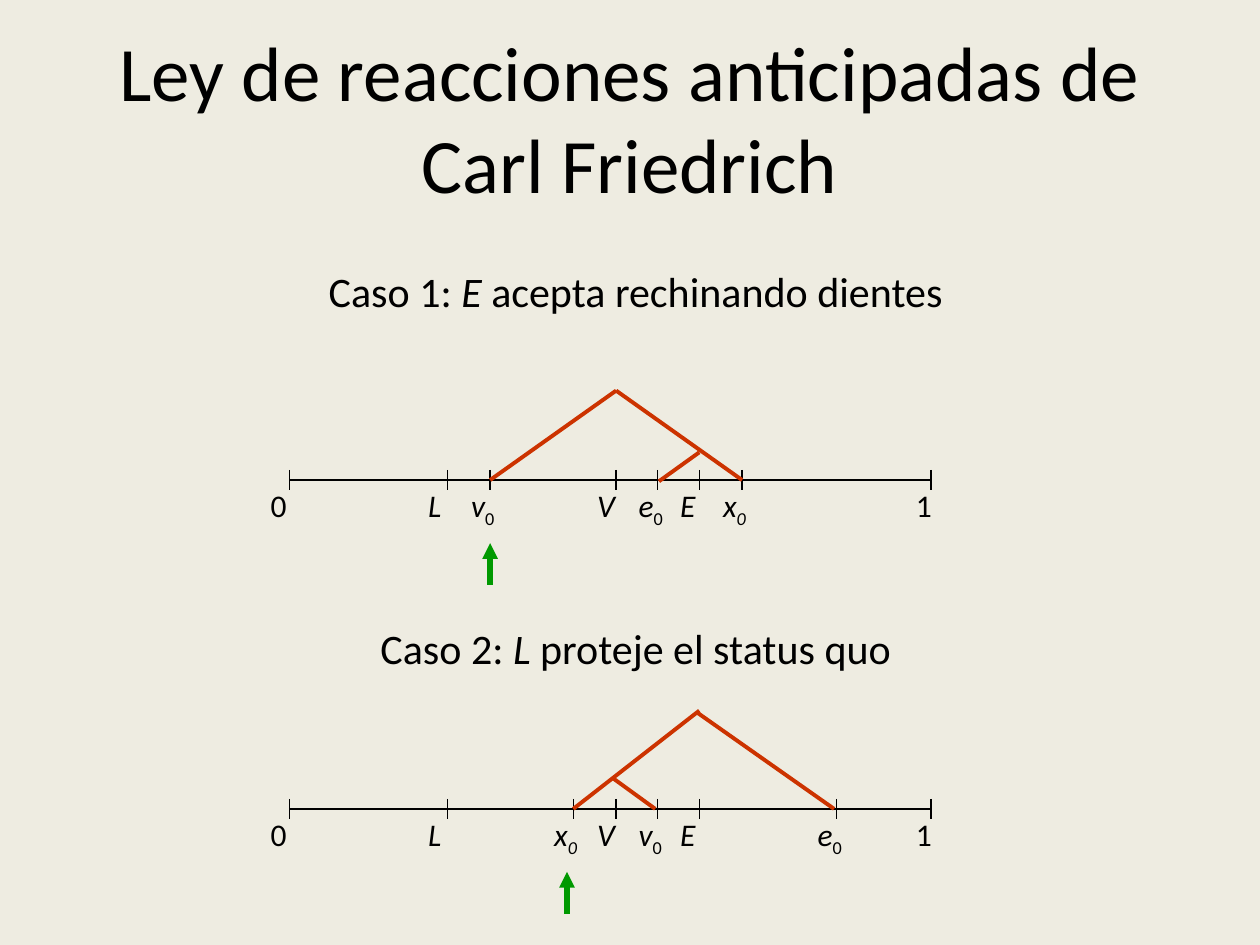
"""Build a slide showing two cases of Friedrich's law of anticipated reactions."""
import pptx
import pptx.dml.color
import pptx.enum.shapes
import pptx.enum.text
import pptx.oxml
import pptx.oxml.ns
import pptx.util

WIDTH, HEIGHT = 10, 7.5
BLACK, RED, GREEN, CREAM = "000000", "CC3300", "009900", "EEECE1"
FONT = "Calibri"
TITLE = "Ley de reacciones anticipadas de Carl Friedrich"
START, END = 2.3, 7.39
TICK, LABEL_W, LABEL_H = 0.08, 0.5, 0.42
ARROW_TOP, ARROW_BOTTOM = 0.5, 0.83

L, V, E = 3.55, 4.89, 5.55
ENDS = [(START, "0", "", False), (END, "1", "", False)]
IDEALS = [(L, "L", "", True), (V, "V", "", True), (E, "E", "", True)]
CASES = [
    {
        "heading": ("Caso 1: ", "E", " acepta rechinando dientes"),
        "top": 2.06,
        "axis": 3.81,
        "points": [(3.89, "v", "0", False), (5.22, "e", "0", False), (5.89, "x", "0", True)],
        "slopes": [(5.89, 0, V, 0.71), (3.89, 0, V, 0.71), (5.23, -0.01, E, 0.22)],
        "arrow": 3.89,
    },
    {
        "heading": ("Caso 2: ", "L", " proteje el status quo"),
        "top": 4.89,
        "axis": 6.42,
        "points": [(4.55, "x", "0", True), (5.22, "v", "0", False), (6.64, "e", "0", False)],
        "slopes": [(4.55, 0, E, 0.78), (6.62, 0, 5.54, 0.76), (5.2, 0, 4.87, 0.24)],
        "arrow": 4.5,
    },
]


def rgb(value):
    """Return a colour from a hex string."""
    return pptx.dml.color.RGBColor.from_string(value)


def add_line(slide, start, end, color, width, arrow=False):
    """Draw a straight line, with an arrowhead at its end if asked."""
    ends = [pptx.util.Inches(n) for n in (*start, *end)]
    sp = slide.shapes.add_connector(pptx.enum.shapes.MSO_CONNECTOR.STRAIGHT, *ends)
    sp.line.color.rgb = rgb(color)
    sp.line.width = pptx.util.Pt(width)
    if arrow:
        tail = pptx.oxml.ns.qn("a:tailEnd")
        sp.line._get_or_add_ln().append(sp._element.makeelement(tail, {"type": "triangle"}))
    effects = pptx.oxml.ns.qn("a:effectLst")
    sp._element.spPr.append(sp._element.makeelement(effects, {}))


def add_text(slide, box, runs, size, align="LEFT", anchor="TOP", inset=(0.1, 0.05)):
    """Add a text box of (text, italic, subscript) runs."""
    sp = slide.shapes.add_textbox(*[pptx.util.Inches(n) for n in box])
    tf = sp.text_frame
    across, down = [pptx.util.Inches(n) for n in inset]
    frame = {
        "word_wrap": True,
        "vertical_anchor": pptx.enum.text.MSO_ANCHOR[anchor],
        "margin_left": across,
        "margin_right": across,
        "margin_top": down,
        "margin_bottom": down,
    }
    for name, value in frame.items():
        setattr(tf, name, value)
    p = tf.paragraphs[0]
    p.alignment = pptx.enum.text.PP_ALIGN[align]
    for text, italic, subscript in runs:
        r = p.add_run()
        r.text = text
        style = {"name": FONT, "size": pptx.util.Pt(size), "italic": italic}
        for name, value in style.items():
            setattr(r.font, name, value)
        r.font.color.rgb = rgb(BLACK)
        if subscript:
            r.font._element.set("baseline", "-25000")


def add_case(slide, case):
    """Draw one heading with its axis, ticks, labels, slopes and arrow."""
    y = case["axis"]
    before, actor, after = case["heading"]
    heading = [(before, False, False), (actor, True, False), (after, False, False)]
    add_text(slide, (1.17, case["top"], 7.75, 0.5), heading, 24, "CENTER")
    add_line(slide, (START, y), (END, y), BLACK, 1.5)
    for x, letter, index, slanted in ENDS + IDEALS + case["points"]:
        add_line(slide, (x, y - TICK), (x, y + TICK), BLACK, 0.75)
        runs = [(letter, slanted or bool(index), False)]
        if index:
            runs.append((index, slanted, True))
        left = x - LABEL_W / 2 + (0.03 if x == END else 0)
        add_text(slide, (left, y, LABEL_W, LABEL_H), runs, 18)
    for x1, rise1, x2, rise2 in case["slopes"]:
        add_line(slide, (x1, y - rise1), (x2, y - rise2), RED, 2.25)
    x = case["arrow"]
    add_line(slide, (x, y + ARROW_BOTTOM), (x, y + ARROW_TOP), GREEN, 3, arrow=True)


def main():
    """Create and save the presentation."""
    prs = pptx.Presentation()
    prs.slide_width = pptx.util.Inches(WIDTH)
    prs.slide_height = pptx.util.Inches(HEIGHT)
    slide = prs.slides.add_slide(prs.slide_layouts[6])
    fill = slide.background.fill
    fill.solid()
    fill.fore_color.rgb = rgb(CREAM)
    title_box = (0.05 * WIDTH, 0.04 * HEIGHT, 0.9 * WIDTH, HEIGHT / 6)
    add_text(slide, title_box, [(TITLE, False, False)], 44, "CENTER", "MIDDLE", (0, 0))
    for case in CASES:
        add_case(slide, case)
    prs.save("out.pptx")


if __name__ == "__main__":
    main()
